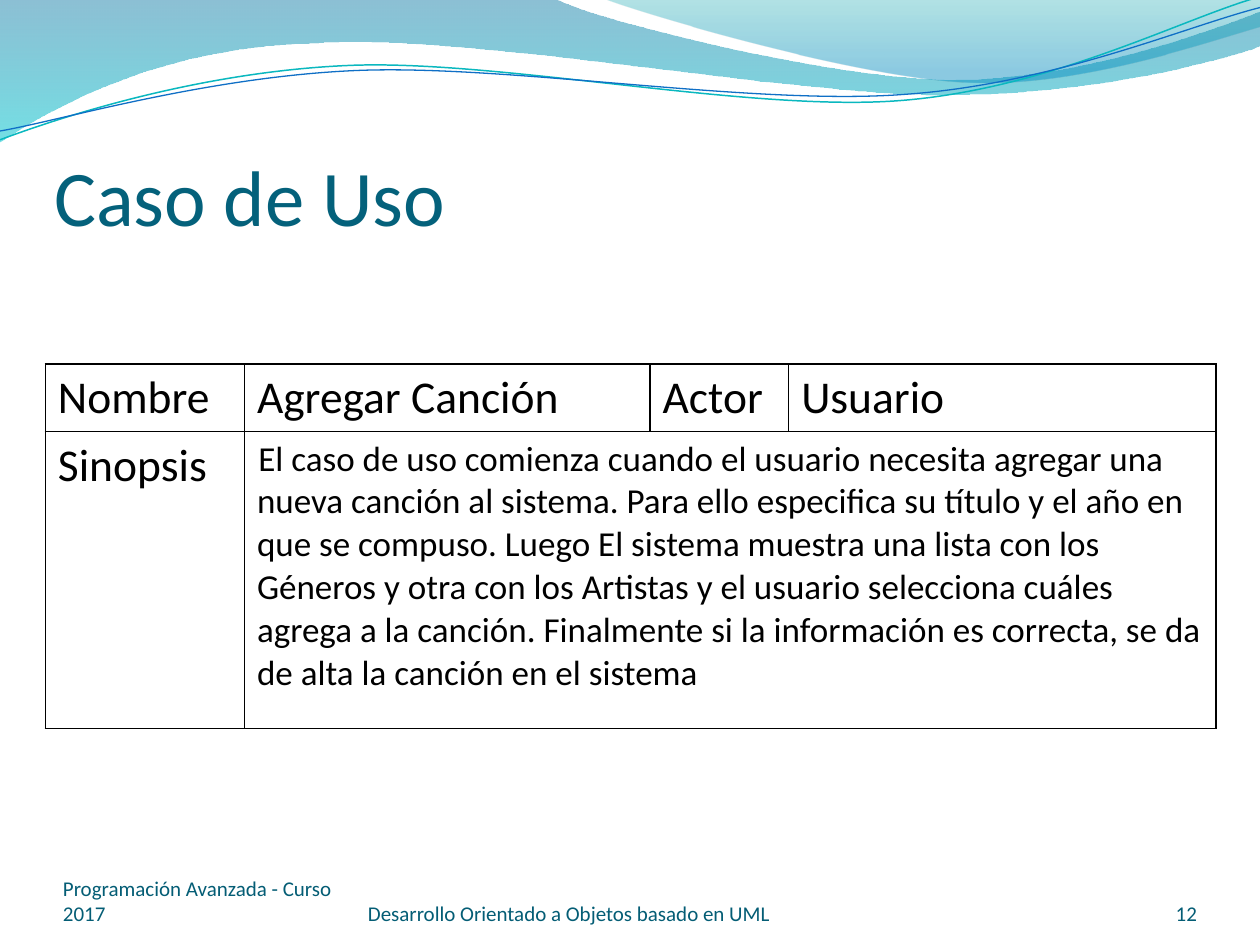
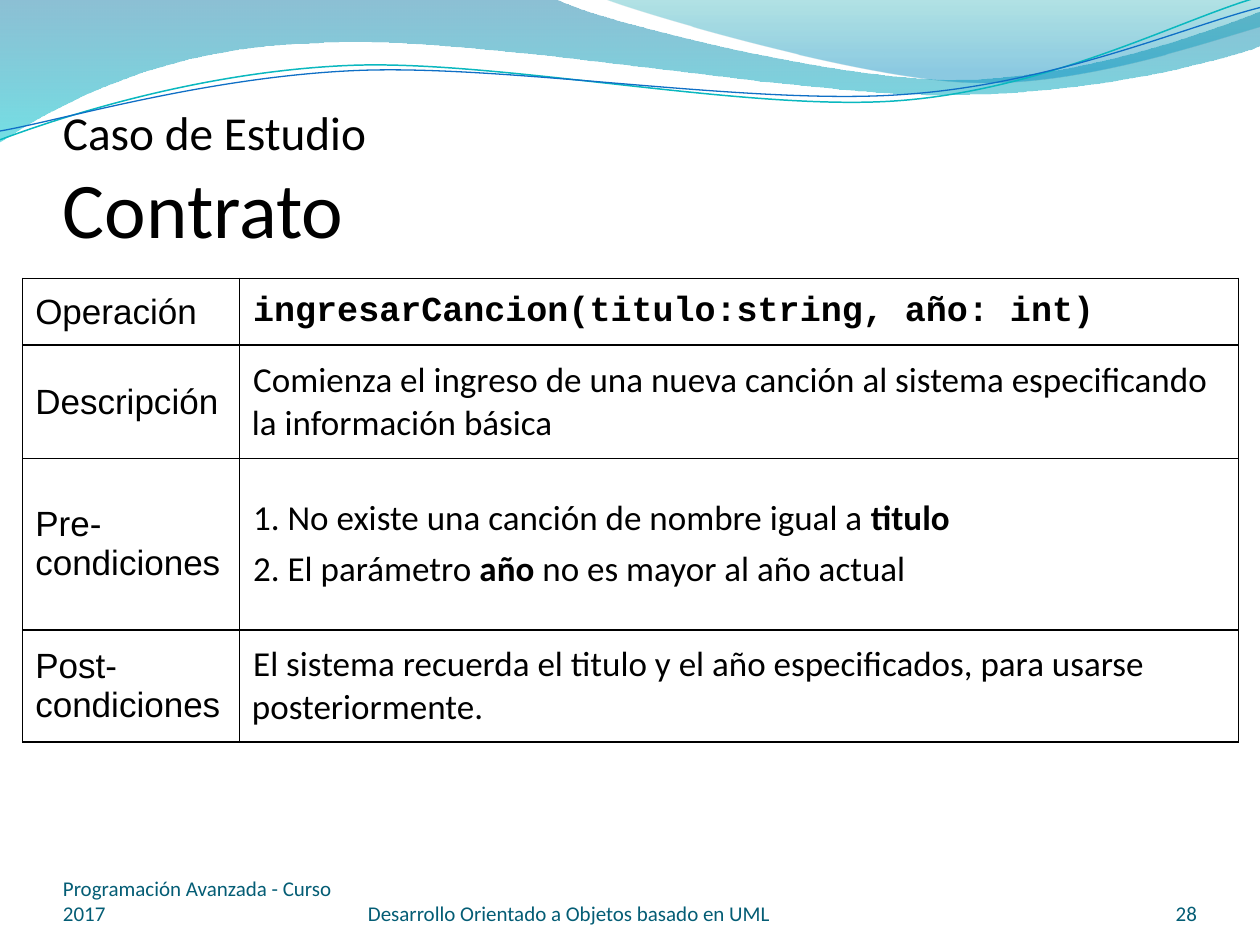
import lxml.etree
import pptx
import pptx.dml.color
import pptx.enum.text
import pptx.oxml.ns
import pptx.util

Inches = pptx.util.Inches
Pt = pptx.util.Pt
Align = pptx.enum.text.PP_ALIGN
Anchor = pptx.enum.text.MSO_ANCHOR
qn = pptx.oxml.ns.qn

INK = "000000"
TEAL = "04617B"
NOTE = "045D75"
BODY = "Calibri"
PROSE = dict(before=4.5, indent=0.01)

FILLS = [
    ([(0, 0), (4.4, -0.01),
      (4.76, 0.17, 6.64, 0.63, 7.58, 0.63), (8.53, 0.63, 9.58, 0.26, 10, 0.09),
      (10.01, 0.36),
      (9.83, 0.44, 8.7, 0.76, 7.46, 0.75), (6.22, 0.75, 3.82, 0.28, 2.57, 0.34),
      (1.29, 0.36, 0.46, 0.83, -0.01, 1.13), (0, 0)],
     [(0, "0074A1", 45), (1, "00C6CF", 55)]),
    ([(4.79, -0.01),
      (5.09, 0.11, 6.82, 0.62, 7.69, 0.65), (8.56, 0.69, 9.61, 0.32, 10, 0.21),
      (10, 0), (4.79, -0.01)],
     [(0, "00A1A9", 30), (0.8, "008BBF", 45)]),
]
LINES = [
    ([(0, 1.11), (0.48, 0.93, 1.58, 0.57, 2.77, 0.52),
      (3.95, 0.47, 5.93, 0.89, 7.13, 0.8), (8.33, 0.71, 9.38, 0.15, 9.98, -0.02)],
     "0AB8BF", 0.85),
    ([(0, 1.04), (0.47, 0.96, 1.64, 0.61, 2.83, 0.56),
      (4.03, 0.51, 5.97, 0.84, 7.17, 0.75), (8.36, 0.67, 9.41, 0.21, 10, 0.06)],
     "0F6FC6", 0.75),
]


def color(code):
    """Turn a hex string into a colour."""
    return pptx.dml.color.RGBColor.from_string(code)


def write(frame, *paras, size=20, font=BODY, ink=INK, bold=False,
          align=Align.LEFT, before=0, indent=0):
    """Fill a frame; a paragraph is a string or a list of (text, format) runs."""
    frame.word_wrap = True
    for num, para in enumerate(paras):
        line = frame.add_paragraph() if num else frame.paragraphs[0]
        line.alignment = align
        line.space_before = Pt(before)
        line._p.get_or_add_pPr().set("indent", str(Inches(indent)))
        runs = [(para, {})] if isinstance(para, str) else para
        for text, form in runs:
            if text == "\n":
                line.add_line_break()
                continue
            run = line.add_run()
            run.text = text
            run.font.size = Pt(form.get("size", size))
            run.font.name = font
            run.font.bold = form.get("bold", bold)
            run.font.color.rgb = color(ink)


def label(slide, box, *paras, top=0, **form):
    """Add a text box that rests on the bottom of its box."""
    frame = slide.shapes.add_textbox(*map(Inches, box)).text_frame
    frame.margin_left = frame.margin_right = frame.margin_bottom = 0
    frame.margin_top = Inches(top)
    frame.vertical_anchor = Anchor.BOTTOM
    write(frame, *paras, **form)


def outline(slide, box, parts, close):
    """Draw corners and cubic curves, measured from the corner of the box."""
    spots = [(Inches(box[0] + part[at]), Inches(box[1] + part[at + 1]))
             for part in parts for at in range(0, len(part), 2)]
    maker = slide.shapes.build_freeform(*spots[0])
    maker.add_line_segments(spots[1:], close=close)
    shape = maker.convert_to_shape()
    shape.shadow.inherit = False
    steps = iter(list(shape._element.iter(qn("a:lnTo"))))
    for part in parts[1:]:
        step = next(steps)
        if len(part) == 6:
            curve = lxml.etree.Element(qn("a:cubicBezTo"))
            step.addprevious(curve)
            for knot in (step, next(steps), next(steps)):
                curve.append(knot[0])
                knot.getparent().remove(knot)
    return shape


def waves(slide, box):
    """Draw the tinted waves and the two thin curves."""
    for parts, stops in FILLS:
        shape = outline(slide, box, parts, True)
        shape.line.fill.background()
        shape.fill.gradient()
        shape.fill.gradient_angle = 270
        for stop, (place, code, _) in zip(shape.fill.gradient_stops, stops):
            stop.position = place
            stop.color.rgb = color(code)
        tints = shape._element.spPr.iter(qn("a:srgbClr"))
        for tint, (_, _, alpha) in zip(tints, stops):
            lxml.etree.SubElement(tint, qn("a:alpha")).set("val", str(alpha * 1000))
    for parts, code, width in LINES:
        shape = outline(slide, box, parts, False)
        shape.fill.background()
        shape.line.color.rgb = color(code)
        shape.line.width = Pt(width)


def footer(slide, box, page):
    """Place course, topic and page number along the foot."""
    left, top, width, height = box
    form = dict(size=12, ink=NOTE)
    label(slide, (left, top, 2.33, height), "Programación Avanzada - Curso 2017", **form)
    label(slide, (left + 2.42, top, 3.67, height),
          "Desarrollo Orientado a Objetos basado en UML", **form)
    label(slide, (left + width - 0.83, top, 0.83, height), str(page),
          align=Align.RIGHT, **form)


def border(cell):
    """Give a cell no fill and a thin line on each side."""
    cell.fill.background()
    props = cell._tc.get_or_add_tcPr()
    for spot, side in enumerate("LRTB"):
        edge = lxml.etree.Element(qn("a:ln" + side), w=str(Pt(1)))
        paint = lxml.etree.SubElement(edge, qn("a:solidFill"))
        lxml.etree.SubElement(paint, qn("a:srgbClr"), val=INK)
        props.insert(spot, edge)


def grid(slide, box, cols, rows):
    """Add a plain ruled table with the given widths and heights."""
    shape = slide.shapes.add_table(len(rows), len(cols), *map(Inches, box))
    table = shape.table
    table.first_row = table.horz_banding = False
    for col, width in zip(table.columns, cols):
        col.width = Inches(width)
    for row, height in zip(table.rows, rows):
        row.height = Inches(height)
        for cell in row.cells:
            border(cell)
    return table


def usage(slide, box):
    """Fill the use case table."""
    table = grid(slide, box, [1.58, 3.22, 1.1, 3.39], [0.53, 2.36])
    table.cell(1, 1).merge(table.cell(1, 3))
    for col, text in enumerate(["Nombre", "Agregar Canción", "Actor", "Usuario"]):
        write(table.cell(0, col).text_frame, text, size=26)
    write(table.cell(1, 0).text_frame, "Sinopsis", size=26)
    write(table.cell(1, 1).text_frame,
          "El caso de uso comienza cuando el usuario necesita agregar una nueva "
          "canción al sistema. Para ello especifica su título y el año en que se "
          "compuso. Luego El sistema muestra una lista con los Géneros y otra con "
          "los Artistas y el usuario selecciona cuáles agrega a la canción. "
          "Finalmente si la información es correcta, se da de alta la canción en "
          "el sistema", **PROSE)


def contract(slide, box):
    """Fill the contract table."""
    strong = {"bold": True}
    code = dict(font="Courier New", bold=True)
    rows = [
        ("Operación", ["ingresarCancion(titulo:string, año: int)"], code),
        ("Descripción", ["Comienza el ingreso de una nueva canción al sistema "
                         "especificando la información básica"], {}),
        ("Pre-condiciones", [
            [("1. No existe una canción de nombre igual a ", {}), ("titulo", strong)],
            [("2. El parámetro ", {}), ("año ", strong),
             ("no es mayor al año actual", {})]], {}),
        ("Post- condiciones", ["El sistema recuerda el titulo y el año "
                               "especificados, para usarse posteriormente."], {}),
    ]
    table = grid(slide, box, [1.72, 7.93], [0.53, 0.9, 1.36, 0.89])
    for row, (head, paras, form) in zip(table.rows, rows):
        for cell in row.cells:
            cell.vertical_anchor = Anchor.MIDDLE
        write(row.cells[0].text_frame, head, font="Arial")
        write(row.cells[1].text_frame, *paras, **PROSE, **form)


def begin(deck, page):
    """Add a slide with its waves and footer."""
    slide = deck.slides.add_slide(deck.slide_layouts[6])
    waves(slide, (0, 0, 10, 1.14))
    footer(slide, (0.5, 6.95, 9, 0.4), page)
    return slide


def main():
    """Build and save both slides."""
    deck = pptx.Presentation()
    deck.slide_width, deck.slide_height = Inches(10), Inches(7.5)

    slide = begin(deck, 12)
    label(slide, (0.43, 1.07, 9, 0.85), "Caso de Uso", top=0.05, size=45, ink=TEAL)
    usage(slide, (0.36, 2.89, 9.29, 2.89))

    slide = begin(deck, 28)
    label(slide, (0.5, 0.77, 9, 1.25),
          [("Caso de Estudio", {"size": 27}), ("\n", {}), ("Contrato", {})],
          top=0.05, size=45)
    contract(slide, (0.18, 2.21, 9.65, 3.68))

    deck.save("out.pptx")


if __name__ == "__main__":
    main()
